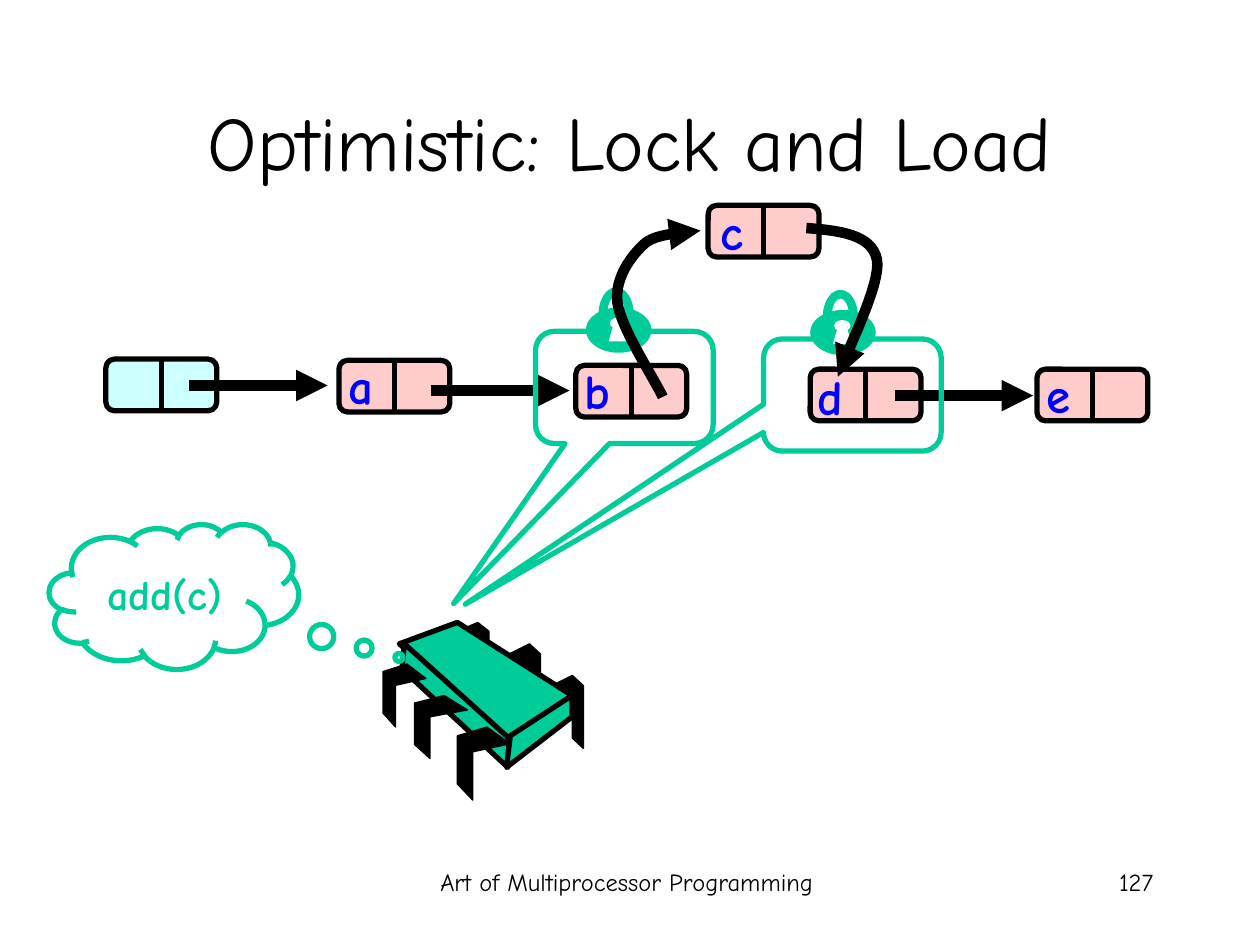
from lxml.etree import SubElement
from pptx import Presentation
from pptx.dml.color import RGBColor
from pptx.enum.shapes import MSO_CONNECTOR, MSO_SHAPE as Shape
from pptx.enum.text import MSO_ANCHOR as Anchor, PP_ALIGN as Align
from pptx.oxml.ns import qn
from pptx.util import Pt

PX = 9144  # 100 px to the inch
FONT = "Comic Neue"
COLORS = {
    "black": "000000", "white": "FFFFFF", "blue": "0000FF",
    "green": "00CC99", "pink": "FFCCCC", "cyan": "CCFFFF",
}
NODE_WIDTH, NODE_HEIGHT = 88, 41

# Pin outlines as fractions of their box
BACK_PIN = [(0, .14), (.65, 0), (1, .14), (1, 1), (.65, .86), (.65, .28), (0, .43)]
FRONT_PIN = [(.56, 0), (1, .23), (.29, .34), (.29, 1), (0, .78), (0, .12)]


def emu(*lengths):
    return [round(length * PX) for length in lengths]


def color(name):
    return RGBColor.from_string(COLORS[name])


def paint(shape, fill=None, line=None, width=3):
    shape.shadow.inherit = False
    if fill:
        shape.fill.solid()
        shape.fill.fore_color.rgb = color(fill)
    else:
        shape.fill.background()
    if line:
        shape.line.color.rgb = color(line)
        shape.line.width = Pt(width)
    else:
        shape.line.fill.background()
    return shape


def add_preset(shapes, kind, box, adjust=(), **style):
    shape = paint(shapes.add_shape(kind, *emu(*box)), **style)
    for index, value in enumerate(adjust):
        shape.adjustments[index] = value
    return shape


def add_outline(shapes, points, close=True, **style):
    corners = [emu(*point) for point in points]
    builder = shapes.build_freeform(*corners[0])
    builder.add_line_segments(corners[1:], close=close)
    return paint(builder.convert_to_shape(), **style)


def write(shape, text, size, ink, align, bold=False):
    para = shape.text_frame.paragraphs[0]
    para.alignment = align
    span = para.add_run()
    span.text = text
    span.font.name = FONT
    span.font.size = Pt(size)
    span.font.bold = bold
    span.font.color.rgb = color(ink)


def add_label(shapes, box, text, size, ink, align, bold=False, wrap=True):
    label = shapes.add_textbox(*emu(*box))
    label.text_frame.word_wrap = wrap
    write(label, text, size, ink, align, bold)


def add_arrowhead(shape, end="tailEnd"):
    SubElement(shape.line._get_or_add_ln(), qn(f"a:{end}"), type="triangle")


def add_line(shapes, start, end, width):
    line = shapes.add_connector(MSO_CONNECTOR.STRAIGHT, *emu(*start, *end))
    line.line.color.rgb = color("black")
    line.line.width = Pt(width)
    SubElement(line._element.spPr, qn("a:effectLst"))
    return line


def add_arrow(shapes, left, top):
    arrow = add_line(shapes, (left, top), (left + 110, top), 6)
    add_arrowhead(arrow)


def bezier(points, steps=16):
    """Points along a chain of cubic curves that share their end points."""
    track = [points[0]]
    for first in range(0, len(points) - 1, 3):
        curve = points[first:first + 4]
        for step in range(1, steps + 1):
            t = step / steps
            weights = ((1 - t) ** 3, 3 * t * (1 - t) ** 2, 3 * t * t * (1 - t), t ** 3)
            track.append(tuple(sum(w * point[axis] for w, point in zip(weights, curve))
                               for axis in (0, 1)))
    return track


def add_curved_arrow(shapes, points, end):
    curve = add_outline(shapes, bezier(points), close=False, line="black", width=6)
    add_arrowhead(curve, end)


def add_node(shapes, left, top, letter="", shift=(0, 0), fill="pink"):
    """A list node: two cells, with its key in the left one."""
    box = add_preset(shapes, Shape.ROUNDED_RECTANGLE, (left, top, NODE_WIDTH, NODE_HEIGHT),
                     [.167], fill=fill, line="black")
    middle = left + NODE_WIDTH / 2
    divider = add_line(shapes, (middle, top), (middle, top + NODE_HEIGHT), 3)
    divider.begin_connect(box, 0)
    divider.end_connect(box, 2)
    if letter:
        add_label(shapes, (left + shift[0], top + shift[1], 42, 57), letter, 28, "blue",
                  Align.LEFT, bold=True, wrap=False)


def add_chip(page, left, top):
    parts = page.shapes.add_group_shape().shapes

    def add_pin(pin, x, y, width, height):
        points = [(left + x + fx * width, top + y + fy * height) for fx, fy in pin]
        add_outline(parts, points, fill="black", line="black", width=.75)

    for box in ((134, 42, 25, 58), (100, 17, 25, 58), (59, 0, 25, 50)):
        add_pin(BACK_PIN, *box)
    # Top, left and right faces
    for face in (
        [(59, 0), (150, 58), (99, 93), (13, 17)],
        [(17, 17), (100, 92), (99, 115), (15, 37)],
        [(150, 58), (150, 75), (98, 115), (101, 90)],
    ):
        add_outline(parts, [(left + x, top + y) for x, y in face], fill="green", line="black")
    for box in ((59, 83, 42, 58), (25, 58, 42, 50), (0, 33, 34, 50)):
        add_pin(FRONT_PIN, *box)


def add_lock(page, left, top):
    parts = page.shapes.add_group_shape().shapes
    # Body, keyhole and shackle
    add_preset(parts, Shape.OVAL, (left, top + 16, 52, 36), fill="green")
    add_preset(parts, Shape.OVAL, (left + 19, top + 24, 13, 9), fill="white")
    add_preset(parts, Shape.TRAPEZOID, (left + 18, top + 30, 15, 13), [.3], fill="white")
    add_preset(parts, Shape.BLOCK_ARC, (left + 10, top, 28, 43), fill="green")


def add_callout(page, left, top, tip):
    add_preset(page.shapes, Shape.ROUNDED_RECTANGULAR_CALLOUT, (left, top, 141, 89),
               [*tip, .167], line="green")


def add_thought(page, box):
    cloud = add_preset(page.shapes, Shape.CLOUD_CALLOUT, box, [.902, .42], line="green")
    cloud.text_frame.vertical_anchor = Anchor.MIDDLE
    write(cloud, "add(c)", 24, "green", Align.CENTER, bold=True)


def add_title(page, box):
    title = page.shapes.title
    title.left, title.top, title.width, title.height = emu(*box)
    title.text_frame.vertical_anchor = Anchor.MIDDLE
    write(title, "Optimistic: Lock and Load", 44, "black", Align.CENTER)


def add_footer(page, top):
    add_label(page.shapes, (310, top, 375, 50), "Art of Multiprocessor Programming",
              14, "black", Align.CENTER)
    add_label(page.shapes, (717, top, 208, 50), "127", 14, "black", Align.RIGHT)


def main():
    deck = Presentation()
    deck.slide_width, deck.slide_height = emu(1000, 750)
    page = deck.slides.add_slide(deck.slide_layouts[5])
    shapes = page.shapes

    add_footer(page, 683)
    add_title(page, (75, 49, 850, 125))

    # Linked list
    add_node(shapes, 84, 285, fill="cyan")
    add_node(shapes, 269, 286, "a", (-2, -9))
    add_node(shapes, 457, 290, "b", (-3, -9))
    add_node(shapes, 643, 293, "d", (-4, -7))
    add_node(shapes, 823, 293, "e", (-2, -9))
    for left, top in ((150, 306), (342, 310), (710, 314)):
        add_arrow(shapes, left, top)

    # Thread that holds two locks
    add_chip(page, 304, 494)
    add_callout(page, 425, 263, (-.961, 1.927))
    add_thought(page, (39, 416, 198, 115))
    add_callout(page, 606, 269, (-2.179, 1.865))
    add_lock(page, 465, 228)
    add_lock(page, 643, 230)

    # New node between b and d
    add_node(shapes.add_group_shape().shapes, 562, 163, "c", (0, -8))
    add_curved_arrow(shapes, [(556, 183), (549, 185), (523, 184), (512, 193), (501, 203),
                              (488, 220), (490, 240), (493, 261), (519, 300), (526, 315)],
                     "headEnd")
    add_curved_arrow(shapes, [(640, 181), (666, 183), (692, 186), (696, 206), (700, 225),
                              (670, 283), (665, 299)], "tailEnd")
    deck.save("out.pptx")


if __name__ == "__main__":
    main()
